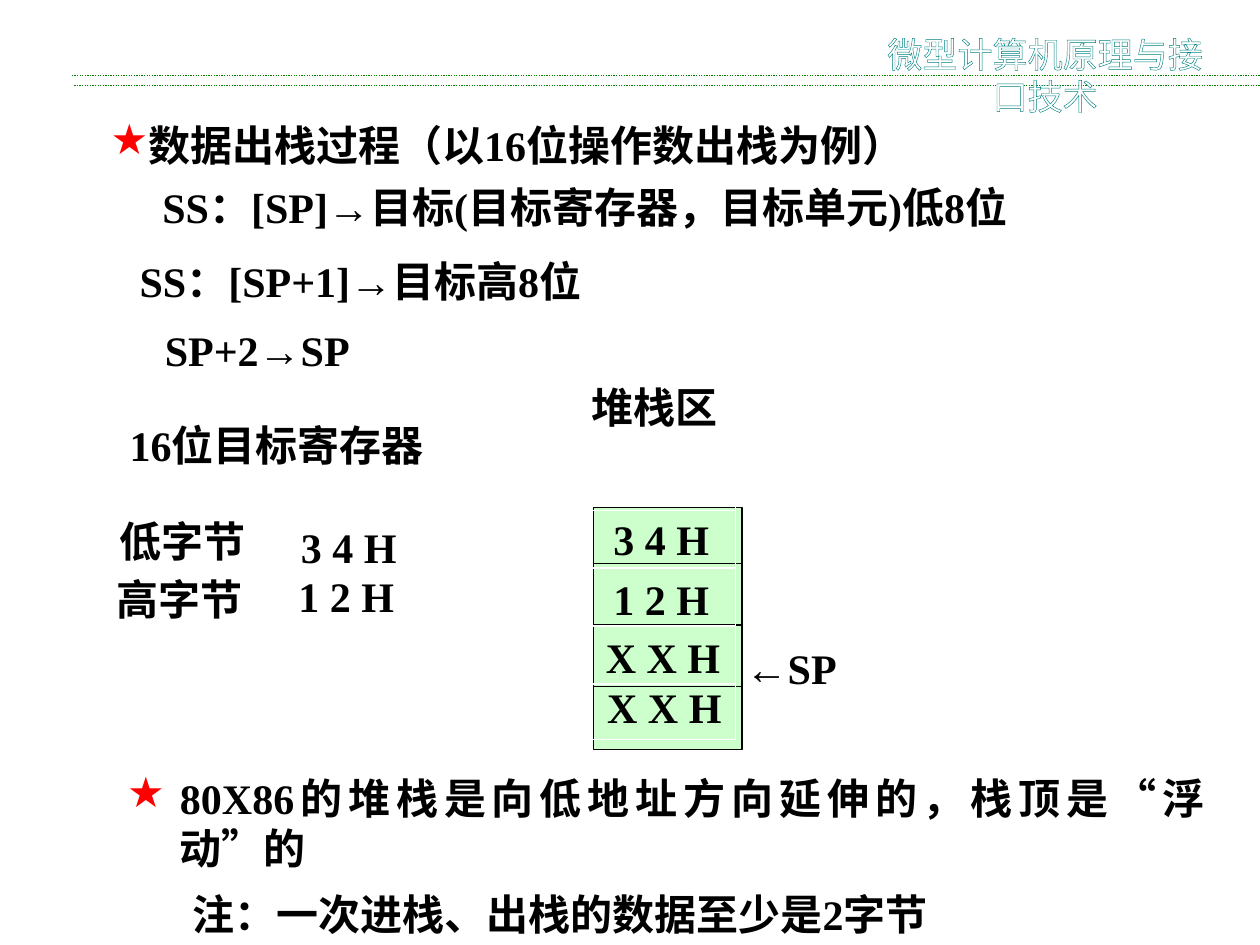
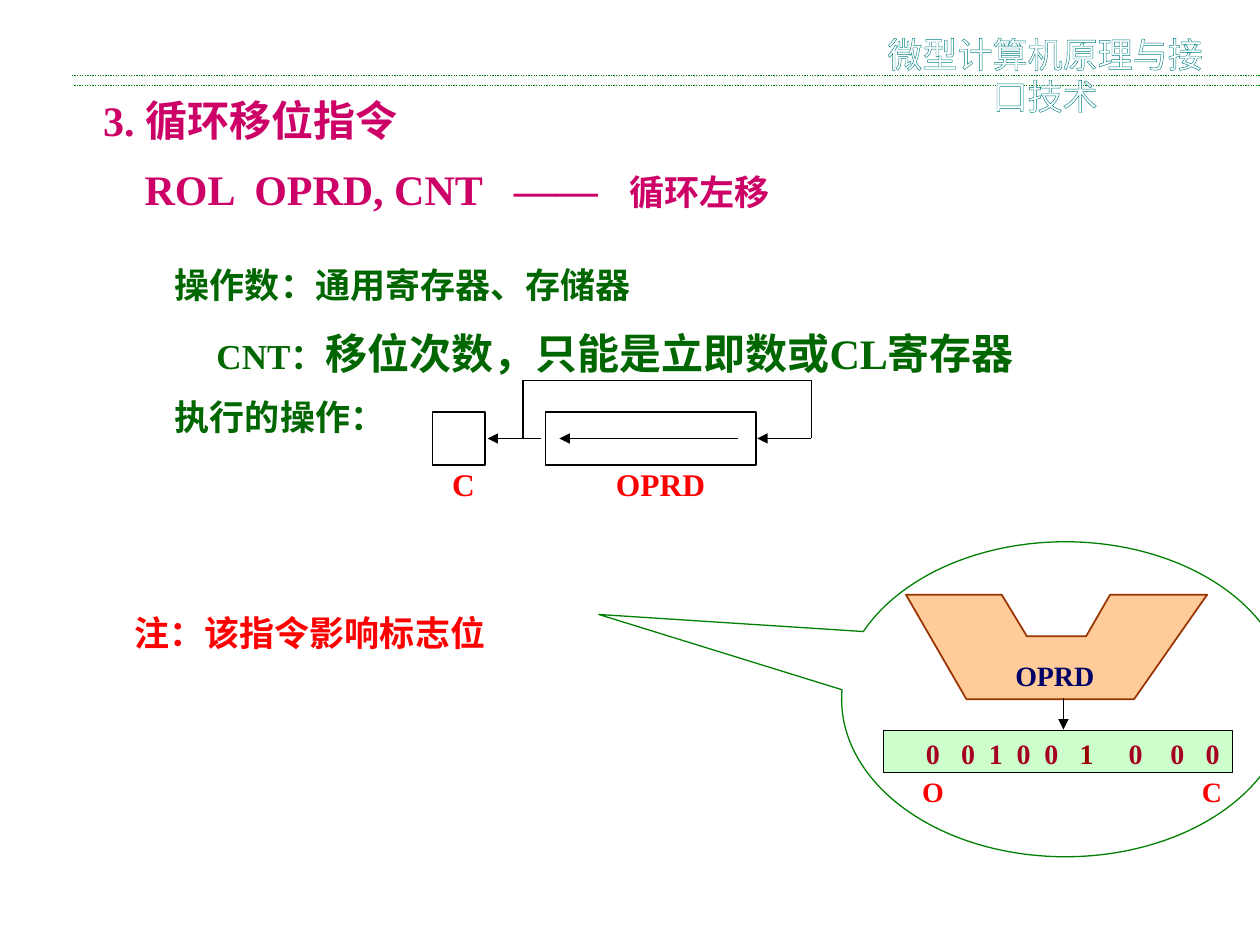
from dataclasses import dataclass

from lxml.etree import SubElement
from pptx import Presentation
from pptx.dml.color import RGBColor
from pptx.enum.dml import MSO_LINE_DASH_STYLE as Dash
from pptx.enum.shapes import MSO_CONNECTOR as Connector, MSO_SHAPE as Preset
from pptx.enum.text import PP_ALIGN as Align
from pptx.oxml.ns import qn
from pptx.shapes.base import BaseShape
from pptx.slide import Slide
from pptx.util import Inches, Pt


@dataclass(frozen=True)
class Theme:
    latin: str = "Times New Roman"
    chinese: str = "Noto Sans CJK SC"
    black: str = "000000"
    white: str = "FFFFFF"
    teal: str = "008080"
    green: str = "008000"
    dark_green: str = "006600"
    pale_green: str = "CCFFCC"
    magenta: str = "CC0066"
    red: str = "FF0000"
    dark_red: str = "A50021"
    carry_red: str = "990000"
    navy: str = "000066"
    orange: str = "FFCC99"
    brown: str = "993300"
    large: int = 24
    medium: int = 20
    caption: int = 18
    small: int = 16
    hairline: float = 0.75


THEME = Theme()


@dataclass(frozen=True)
class Span:
    text: str
    size: int = THEME.large
    color: str = THEME.black
    bold: bool = True
    latin: str = THEME.latin
    outline: str = ""


@dataclass(frozen=True)
class Label:
    left: float
    top: float
    width: float
    spans: tuple[Span, ...]
    tabs: tuple[float, ...] = ()
    star: bool = False
    hanging: float = 0
    align: Align = Align.LEFT
    wrap: bool = True


@dataclass(frozen=True)
class Box:
    left: float
    top: float
    width: float
    height: float
    line: str = THEME.black
    fill: str = ""
    preset: Preset = Preset.RECTANGLE


@dataclass(frozen=True)
class Line:
    x1: float
    y1: float
    x2: float
    y2: float
    color: str = THEME.black
    arrow: bool = False
    dotted: bool = False


def add_color(parent, tag: str, color: str):
    holder = SubElement(parent, qn(tag))
    SubElement(holder, qn("a:srgbClr"), val=color)
    return holder


def draw_span(para, span: Span) -> None:
    run = para.add_run()
    run.text = span.text
    values = {"name": span.latin, "size": Pt(span.size), "bold": span.bold}
    for name, value in values.items():
        setattr(run.font, name, value)
    run.font.color.rgb = RGBColor.from_string(span.color)
    properties = run.font._element
    SubElement(properties, qn("a:ea"), typeface=THEME.chinese)
    if span.outline:
        outline = SubElement(properties, qn("a:ln"), w=str(Pt(THEME.hairline)))
        add_color(outline, "a:solidFill", span.outline)
        properties.insert(0, outline)


def draw_label(page: Slide, label: Label) -> None:
    height = max(span.size for span in label.spans) * 1.2 / 72 + 0.1
    box = page.shapes.add_textbox(*map(Inches, (label.left, label.top, label.width, height)))
    box.text_frame.word_wrap = label.wrap
    para = box.text_frame.paragraphs[0]
    para.alignment = label.align
    properties = para._p.get_or_add_pPr()
    if label.star:
        properties.set("marL", str(Inches(label.hanging)))
        properties.set("indent", str(-Inches(label.hanging)))
        add_color(properties, "a:buClr", THEME.red)
        SubElement(properties, qn("a:buChar"), char="★")
    if label.tabs:
        stops = SubElement(properties, qn("a:tabLst"))
        for stop in label.tabs:
            SubElement(stops, qn("a:tab"), pos=str(Inches(stop)), algn="l")
    for span in label.spans:
        draw_span(para, span)


def paint(shape: BaseShape, line: str, fill: str, width: float = THEME.hairline) -> None:
    shape.shadow.inherit = False
    if fill:
        shape.fill.solid()
        shape.fill.fore_color.rgb = RGBColor.from_string(fill)
    else:
        shape.fill.background()
    shape.line.color.rgb = RGBColor.from_string(line)
    shape.line.width = Pt(width)


def draw_box(page: Slide, box: Box) -> BaseShape:
    shape = page.shapes.add_shape(
        box.preset, *map(Inches, (box.left, box.top, box.width, box.height)))
    paint(shape, box.line, box.fill)
    return shape


def draw_line(page: Slide, line: Line) -> None:
    connector = page.shapes.add_connector(
        Connector.STRAIGHT, *map(Inches, (line.x1, line.y1, line.x2, line.y2)))
    connector.line.color.rgb = RGBColor.from_string(line.color)
    connector.line.width = Pt(THEME.hairline)
    if line.dotted:
        connector.line.dash_style = Dash.ROUND_DOT
    if line.arrow:
        SubElement(connector.line._get_or_add_ln(), qn("a:tailEnd"), type="triangle")
    SubElement(connector._element.spPr, qn("a:effectLst"))


def add_page(deck) -> Slide:
    """Add a blank slide with the course header and its two rules."""
    page = deck.slides.add_slide(deck.slide_layouts[6])
    for left, y in ((0.59, 0.68), (0.57, 0.6)):
        draw_line(page, Line(left, y, 10, y, THEME.green, dotted=True))
    course = Span("微型计算机原理与接口技术", THEME.medium, THEME.white, False,
                  THEME.chinese, THEME.teal)
    draw_label(page, Label(6.89, 0.21, 2.81, (course,), align=Align.CENTER, wrap=False))
    return page


def build_pop_slide(deck) -> None:
    page = add_page(deck)
    left, right = 4.71, 5.89
    draw_box(page, Box(left, 4.03, right - left, 1.92, fill=THEME.pale_green))
    for y in (4.47, 4.96, 5.45):
        draw_line(page, Line(left, y, right, y))
    frame_left, frame_width, cell_height = 4.62, 1.22, 0.46
    draw_box(page, Box(frame_left, 3.56, frame_width, 2.31, THEME.white))
    for row in range(3):
        draw_box(page, Box(frame_left, 4.05 + row * cell_height,
                           frame_width, cell_height, THEME.white))

    plain_labels = (
        (1.19, 1.39, 8.33, "SS：[SP]→目标(目标寄存器，目标单元)低8位"),
        (1.01, 1.98, 4.5, "SS：[SP+1]→目标高8位"),
        (1.21, 2.53, 2, "SP+2→SP"),
        (4.6, 2.98, 1.5, "堆栈区"),
        (0.93, 3.28, 3, "16位目标寄存器"),
        (0.85, 4.04, 1.3, "低字节"),
        (0.83, 4.5, 1.3, "高字节"),
        (2.29, 4.09, 1.2, "3 4 H"),
        (2.27, 4.48, 1.2, "1 2 H"),
        (4.77, 4.03, 1.2, "3 4 H"),
        (4.77, 4.5, 1.2, "1 2 H"),
        (4.71, 4.96, 1.2, "X X H"),
        (4.72, 5.36, 1.2, "X X H"),
        (5.82, 5.05, 1.2, "←SP"),
        (1.43, 7, 8.23, "注：一次进栈、出栈的数据至少是2字节"),
    )
    for x, y, width, text in plain_labels:
        draw_label(page, Label(x, y, width, (Span(text),)))
    starred_labels = (
        (0.78, 0.9, 0, "数据出栈过程（以16位操作数出栈为例）"),
        (0.91, 6.08, 0.42, "80X86的堆栈是向低地址方向延伸的，栈顶是“浮动”的"),
    )
    for x, y, hanging, text in starred_labels:
        draw_label(page, Label(x, y, 8.75, (Span(text),), star=True,
                               hanging=hanging, align=Align.JUSTIFY))


def draw_rotate_diagram(page: Slide) -> None:
    """Carry box and operand box joined by the rotate-left loop."""
    for left, width in ((3.43, 0.42), (4.33, 1.67)):
        draw_box(page, Box(left, 3.27, width, 0.42))
    middle, loop_top, loop_left, loop_right = 3.48, 3.02, 4.15, 6.44
    for start, end in ((4.29, 3.87), (loop_right, 6.01), (5.86, 4.44)):
        draw_line(page, Line(start, middle, end, middle, arrow=True))
    for x in (loop_left, loop_right):
        draw_line(page, Line(x, loop_top, x, middle))
    draw_line(page, Line(loop_left, loop_top, loop_right, loop_top))
    for left, text in ((3.49, "C"), (4.79, "OPRD")):
        draw_label(page, Label(left, 3.64, 1.1, (Span(text, THEME.caption, THEME.red),)))


def draw_flag_callout(page: Slide) -> None:
    """Operand funnel feeding the flag register inside a speech bubble."""
    funnel = ((7.19, 4.72), (7.95, 4.72), (8.15, 5.05), (8.62, 5.05),
              (8.81, 4.72), (9.58, 4.72), (9, 5.55), (7.67, 5.55))
    corners = [(Inches(x), Inches(y)) for x, y in funnel]
    builder = page.shapes.build_freeform(*corners[0])
    builder.add_line_segments(corners[1:], close=True)
    paint(builder.convert_to_shape(), THEME.brown, THEME.orange, 1)
    draw_line(page, Line(8.44, 5.54, 8.44, 5.79, arrow=True))
    draw_box(page, Box(7.01, 5.8, 2.77, 0.33, fill=THEME.pale_green))
    draw_label(page, Label(7.96, 5.18, 1, (Span("OPRD", THEME.small, THEME.navy),)))

    bits = tuple(Span(text, THEME.small, color) for text, color in (
        ("0\t0\t1\t0\t0\t", THEME.dark_red),
        ("1", THEME.carry_red),
        ("\t0\t0\t0", THEME.dark_red)))
    bit_tabs = (0.28, 0.5, 0.72, 0.94, 1.22, 1.61, 1.94, 2.22)
    draw_label(page, Label(7.25, 5.8, 2.65, bits, bit_tabs))
    flags = (Span("O\tC", THEME.small, THEME.red),)
    draw_label(page, Label(7.22, 6.1, 2.65, flags, bit_tabs[-1:]))
    bubble = draw_box(page, Box(6.68, 4.3, 3.55, 2.5, THEME.green,
                                preset=Preset.OVAL_CALLOUT))
    bubble.adjustments[0] = -1.043
    bubble.adjustments[1] = -0.269


def build_rotate_slide(deck) -> None:
    page = add_page(deck)
    large, medium = THEME.large, THEME.medium
    pink, green = THEME.magenta, THEME.dark_green
    labels = (
        Label(0.72, 0.7, 5, (Span("3. 循环移位指令", large, pink),)),
        Label(1.05, 1.25, 7, (Span("ROL\tOPRD, CNT\t——\t", large, pink),
                              Span("循环左移", medium, pink)), (0.87, 2.93, 3.85)),
        Label(1.29, 2.04, 6, (Span("操作数：通用寄存器、存储器", medium, green),)),
        Label(1.62, 2.55, 8, (Span("CNT：", medium, green),
                              Span("移位次数，只能是立即数或CL寄存器", large, green))),
        Label(1.29, 3.09, 2.1, (Span("执行的操作：", medium, green),)),
        Label(0.97, 4.8, 4, (Span("注：该指令影响标志位", medium, THEME.red),)),
    )
    for label in labels:
        draw_label(page, label)
    draw_rotate_diagram(page)
    draw_flag_callout(page)


def main() -> None:
    deck = Presentation()
    deck.slide_width, deck.slide_height = Inches(10), Inches(7.5)
    build_pop_slide(deck)
    build_rotate_slide(deck)
    deck.save("out.pptx")


if __name__ == "__main__":
    main()
